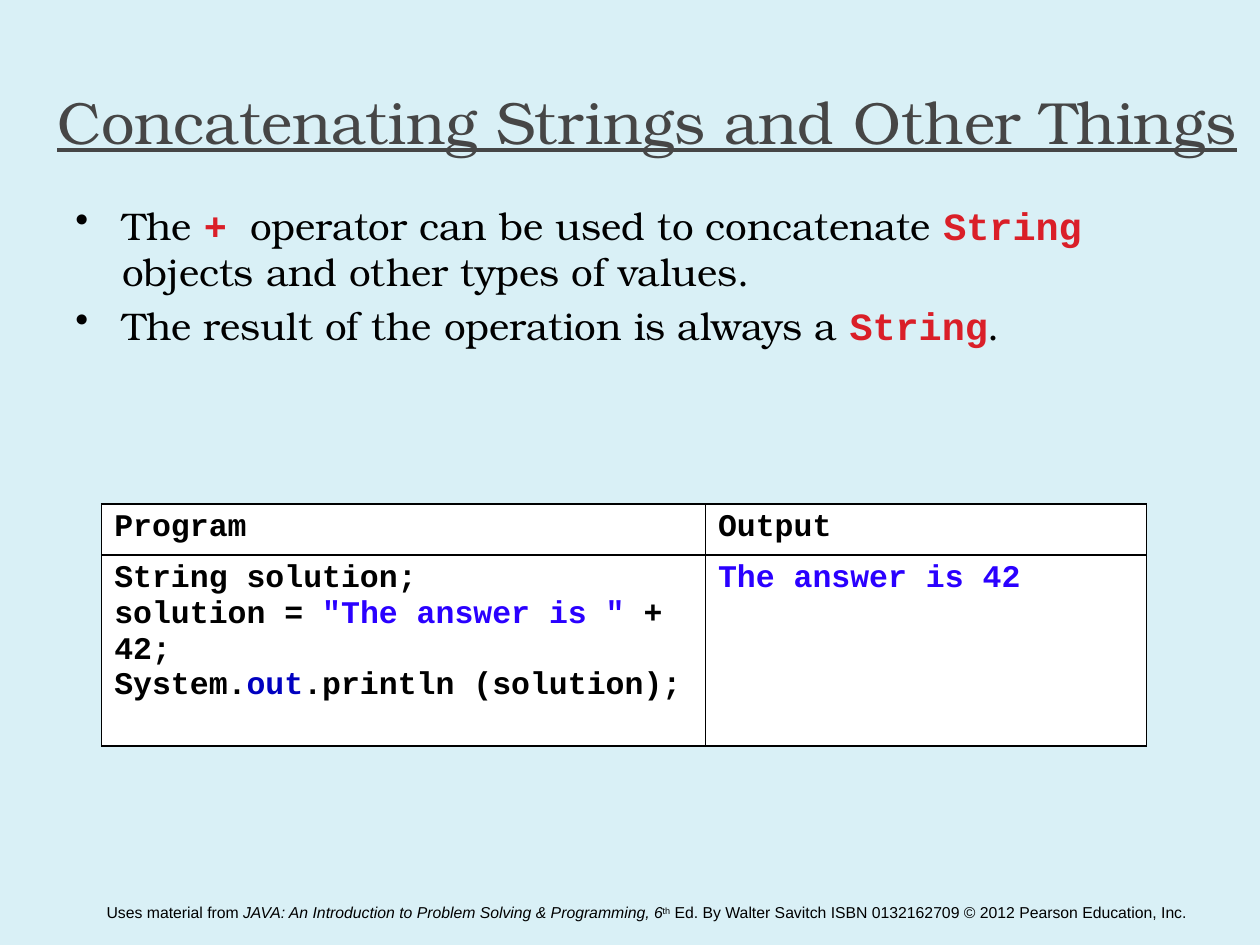
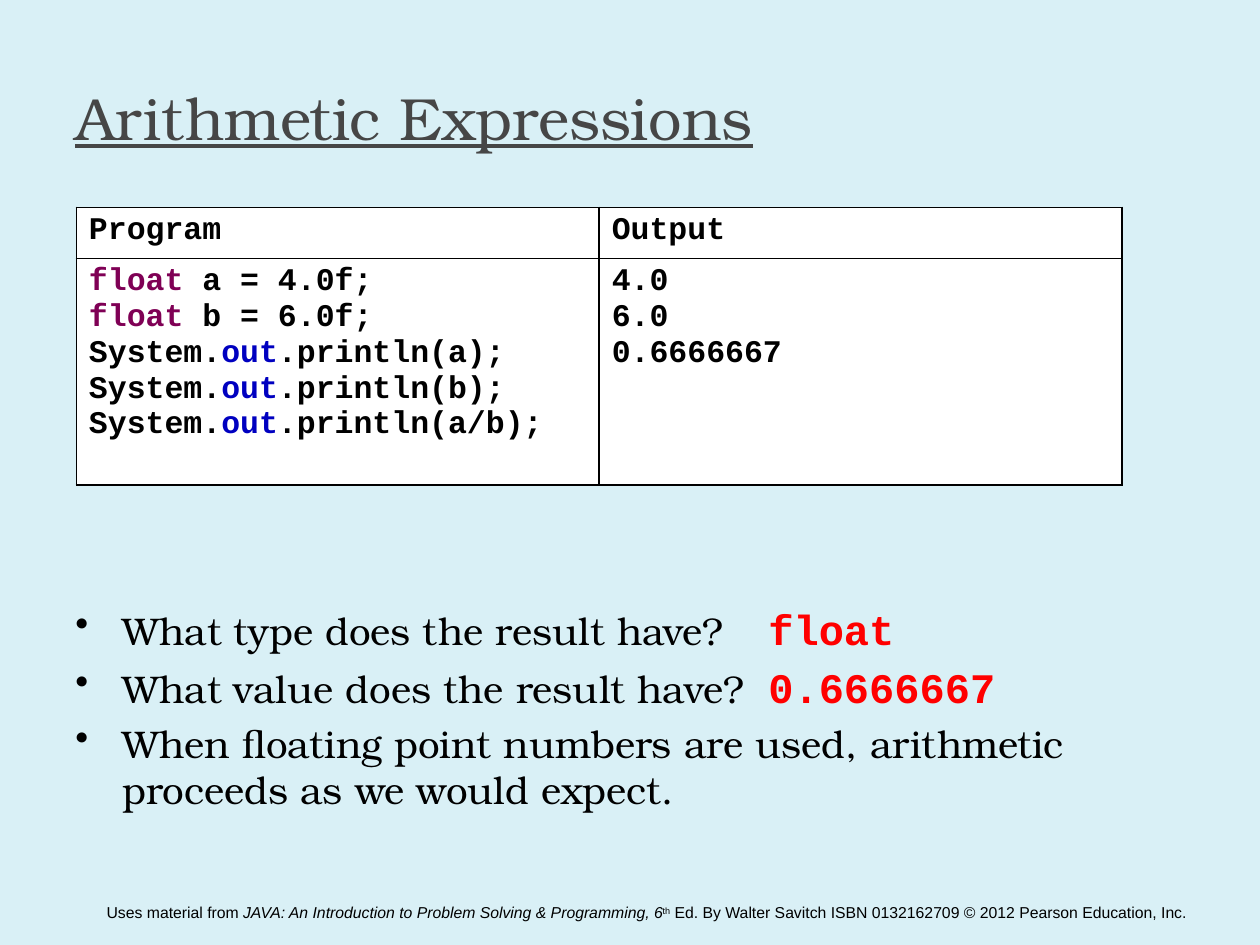
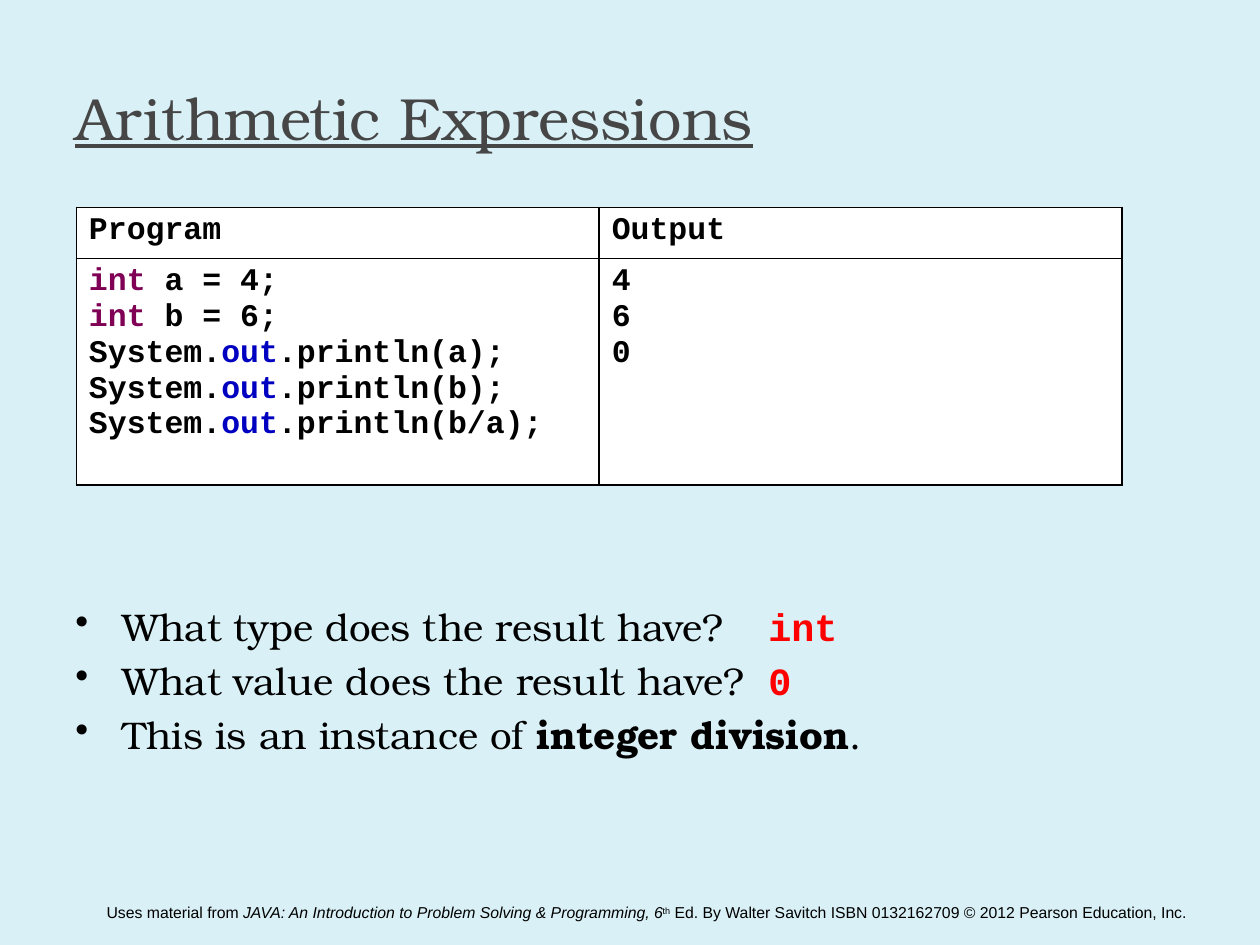
import lxml.etree
import pptx
import pptx.dml.color
import pptx.enum.text
import pptx.oxml
import pptx.oxml.ns
import pptx.util

Cm = pptx.util.Cm
Pt = pptx.util.Pt

SERIF, MONO, SANS = "TeX Gyre Bonum", "Courier New", "Arial"
BLACK, WHITE, GREY, SKY = "000000", "FFFFFF", "464646", "D9F0F6"
TERM_RED, ANSWER_RED = "DA1F28", "FF0000"
KEYWORD, LITERAL, FIELD = "7F0055", "2A00FF", "0000C0"

TERM = dict(font=MONO, color=TERM_RED, bold=True)
ANSWER = dict(font=MONO, color=ANSWER_RED, bold=True)
LARGE_ANSWER = dict(ANSWER, size=24)


def rgb(hex_color):
    return pptx.dml.color.RGBColor.from_string(hex_color)


def println(argument, gap=""):
    return ["System.", ("out", dict(color=FIELD)), f".println{gap}({argument});"]


def declaration(keyword, rest):
    return [(keyword, dict(color=KEYWORD)), rest]


class Deck:
    title_style = dict(font=SERIF, size=34, color=GREY, underline=True)
    body_style = dict(font=SERIF, size=22, color=BLACK)
    code_style = dict(font=MONO, size=18, color=BLACK, bold=True)
    footer_style = dict(font=SANS, size=9, color=BLACK)
    credit = [
        "Uses material from ",
        ("JAVA: An Introduction to Problem Solving & Programming, 6", dict(italic=True)),
        ("th", dict(baseline=30000)),
        " Ed. By Walter Savitch ISBN 0132162709 © 2012 Pearson Education, Inc.",
    ]

    def __init__(self):
        self.prs = pptx.Presentation()
        self.prs.slide_width = Cm(25.4)
        self.prs.slide_height = Cm(19.05)
        background = self.prs.slide_master.background.fill
        background.solid()
        background.fore_color.rgb = rgb(SKY)
        self.slide = None

    def new_slide(self, title, title_box=(1.27, 0.76, 22.86, 3.18)):
        self.slide = self.prs.slides.add_slide(self.prs.slide_layouts[6])
        self.text((1.9, 18.08, 22.86, 1.02), [self.credit], self.footer_style)
        heading = self.text(title_box, [[title]], self.title_style)
        heading.vertical_anchor = pptx.enum.text.MSO_ANCHOR.MIDDLE

    def fill_lines(self, frame, lines, style):
        for index, spans in enumerate(lines):
            paragraph = frame.add_paragraph() if index else frame.paragraphs[0]
            for span in spans:
                words, changes = (span, {}) if isinstance(span, str) else span
                run = paragraph.add_run()
                run.text = words
                self.style_run(run, **{**style, **changes})

    def style_run(self, run, font, size, color, bold=False, italic=False,
                  underline=False, baseline=0):
        run.font.name = font
        run.font.size = Pt(size)
        run.font.color.rgb = rgb(color)
        run.font.bold = bold
        run.font.italic = italic
        run.font.underline = underline
        if baseline:
            run._r.get_or_add_rPr().set("baseline", str(baseline))

    def text(self, box, lines, style):
        frame = self.slide.shapes.add_textbox(*map(Cm, box)).text_frame
        frame.word_wrap = True
        self.fill_lines(frame, lines, style)
        return frame

    def bullets(self, box, lines):
        frame = self.text(box, lines, self.body_style)
        for index, paragraph in enumerate(frame.paragraphs):
            properties = paragraph._p.get_or_add_pPr()
            properties.set("marL", str(Cm(0.95)))
            properties.set("indent", str(-Cm(0.95)))
            bullet = lxml.etree.SubElement(properties, pptx.oxml.ns.qn("a:buChar"))
            bullet.set("char", "•")
            if index:
                paragraph.space_before = Pt(4.4)

    def program(self, left, top, widths, code_height, code, output):
        heights = (1.03, code_height)
        grid = self.slide.shapes.add_table(
            2, 2, Cm(left), Cm(top), Cm(sum(widths)), Cm(sum(heights))).table
        grid.first_row = grid.horz_banding = False
        for column, width in zip(grid.columns, widths):
            column.width = Cm(width)
        for row, height in zip(grid.rows, heights):
            row.height = Cm(height)
        contents = ([["Program"]], [["Output"]], code, output)
        for cell, lines in zip(grid.iter_cells(), contents):
            self.border(cell)
            cell.fill.solid()
            cell.fill.fore_color.rgb = rgb(WHITE)
            self.fill_lines(cell.text_frame, lines, self.code_style)

    def border(self, cell):
        properties = cell._tc.get_or_add_tcPr()
        for side in "LRTB":
            properties.append(pptx.oxml.parse_xml(
                f'<a:ln{side} {pptx.oxml.ns.nsdecls("a")} w="{Pt(1)}"><a:solidFill>'
                f'<a:srgbClr val="{BLACK}"/></a:solidFill></a:ln{side}>'))

    def arithmetic(self, code, output, remarks):
        self.new_slide("Arithmetic Expressions")
        self.program(1.54, 4.18, (10.54, 10.54), 4.57, code, output)
        self.bullets((1.27, 12.04, 23.93, 5.2), remarks)


def main():
    deck = Deck()

    deck.new_slide("Concatenating Strings and Other Things", (0.91, 0.43, 24.49, 4.01))
    deck.bullets((1.27, 3.94, 22.86, 11.63), [
        ["The ", ("+ ", TERM), "operator can be used to concatenate ",
         ("String ", TERM), "objects and other types of values."],
        ["The result of the operation is always a ", ("String", TERM), "."],
    ])
    deck.program(
        2.05, 10.16, (12.17, 8.89), 3.85,
        [["String solution;"],
         ["solution = ", ('"The answer is "', dict(color=LITERAL)), " + 42;"],
         println("solution", " ")],
        [[("The answer is 42", dict(color=LITERAL))]])

    deck.arithmetic(
        [declaration("float", " a = 4.0f;"), declaration("float", " b = 6.0f;"),
         *map(println, ("a", "b", "a/b"))],
        [["4.0"], ["6.0"], ["0.6666667"]],
        [["What type does the result have?\t", ("float", LARGE_ANSWER)],
         ["What value does the result have?\t", ("0.6666667", LARGE_ANSWER)],
         ["When floating point numbers are used, arithmetic proceeds as we would expect."]])

    deck.arithmetic(
        [declaration("int", " a = 4;"), declaration("int", " b = 6;"),
         *map(println, ("a", "b", "b/a"))],
        [["4"], ["6"], ["0"]],
        [["What type does the result have?\t", ("int", ANSWER)],
         ["What value does the result have?\t", ("0", ANSWER)],
         ["This is an instance of ", ("integer division", dict(bold=True)), "."]])

    deck.prs.save("out.pptx")


if __name__ == "__main__":
    main()
